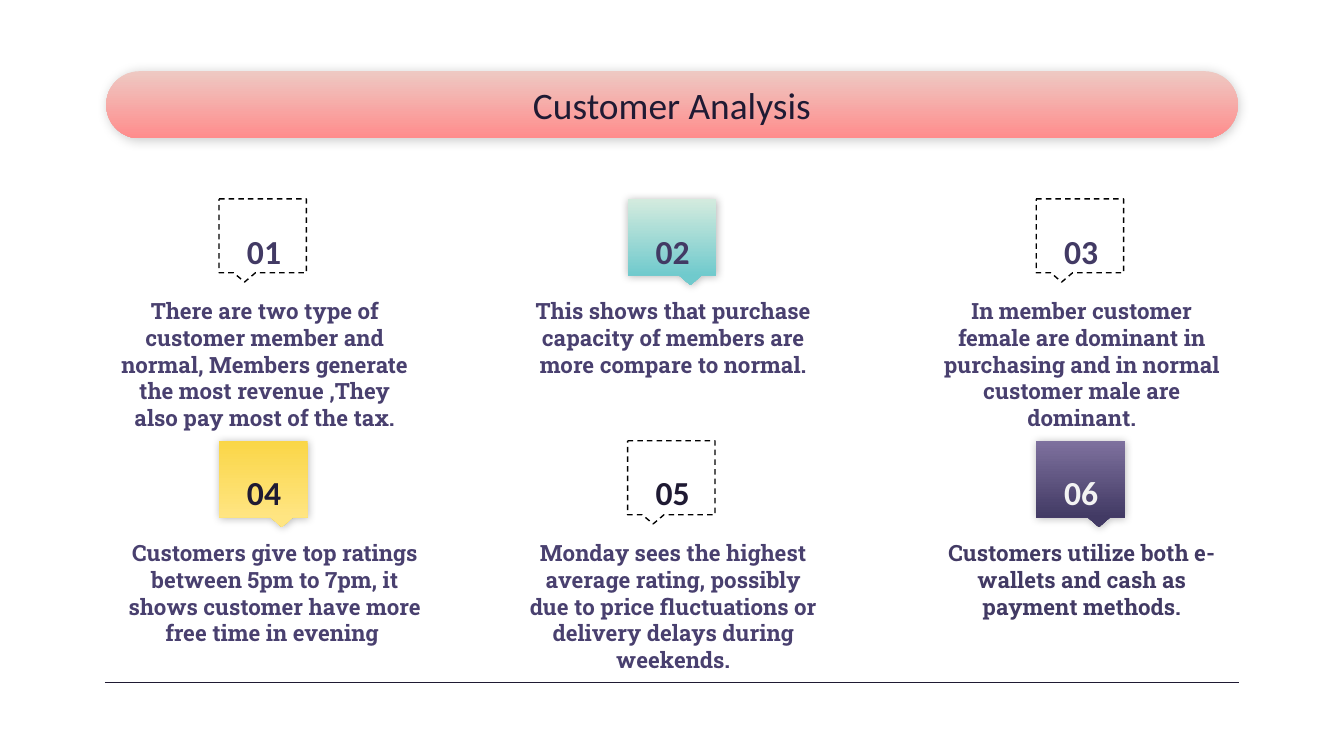
from lxml import etree
from pptx import Presentation
from pptx.dml.color import RGBColor
from pptx.enum.dml import MSO_LINE
from pptx.enum.shapes import MSO_CONNECTOR, MSO_SHAPE
from pptx.enum.text import MSO_ANCHOR, MSO_AUTO_SIZE, PP_ALIGN
from pptx.oxml.ns import qn
from pptx.util import Inches, Pt

CALLOUT = MSO_SHAPE.ROUNDED_RECTANGULAR_CALLOUT
ROUNDED = MSO_SHAPE.ROUNDED_RECTANGLE
STRAIGHT = MSO_CONNECTOR.STRAIGHT
DASH = MSO_LINE.DASH
CENTER = PP_ALIGN.CENTER
TOP, MIDDLE = MSO_ANCHOR.TOP, MSO_ANCHOR.MIDDLE
NO_AUTOFIT = MSO_AUTO_SIZE.NONE

# Widescreen slide, 16:9
SLIDE_WIDTH = 10
SLIDE_HEIGHT = SLIDE_WIDTH * 9 / 16
INK, PURPLE, VIOLET, PALE = "1F1A33", "423A64", "49406F", "F3F3F3"
HEADING_FONT, BODY_FONT = "Calibri", "Roboto Slab"

# Grid of findings, in inches
COLUMNS = 3
MARGIN = 0.79
COLUMN_STEP, ROW_STEP = 3.04, 1.8
FIRST_ROW = 1.48
CAPTION_WIDTH = 2.36
BADGE_OFFSET = 0.84

# Text, badge gradient (None means a dashed outline), number colour, text colour
FINDINGS = [
    ("There are two type of customer member and normal, Members generate "
     "the most revenue ,They also pay most of the tax.", None, PURPLE, VIOLET),
    ("This shows that purchase capacity of members are more compare to normal.",
     ("D4EBDE", "70CACD"), PURPLE, VIOLET),
    ("In member customer female are dominant in purchasing and in normal "
     "customer male are dominant.", None, PURPLE, VIOLET),
    ("Customers give top ratings between 5pm to 7pm, it shows customer have "
     "more free time in evening ", ("FAD647", "FFE582"), INK, VIOLET),
    ("Monday sees the highest average rating, possibly due to price "
     "fluctuations or delivery delays during weekends.", None, INK, VIOLET),
    ("Customers utilize both e-wallets and cash as payment methods.",
     ("7E719E", "423A64"), PALE, PURPLE),
]


def color(hex_code):
    return RGBColor.from_string(hex_code)


def box(left, top, width, height):
    return [Inches(length) for length in (left, top, width, height)]


def fill_gradient(shape, colors):
    """Fill from top to bottom with two colours and no outline."""
    shape.fill.gradient()
    shape.fill.gradient_angle = 270
    for stop, position, hex_code in zip(shape.fill.gradient_stops, (0, 1), colors):
        stop.position = position
        stop.color.rgb = color(hex_code)
    shape.line.fill.background()


def add_shadow(shape, opacity, blur, distance, angle):
    effects = shape.element.spPr.find(qn("a:effectLst"))
    shadow = etree.SubElement(
        effects, qn("a:outerShdw"), blurRad=str(Pt(blur)), dist=str(Pt(distance)),
        dir=str(angle * 60000), algn="bl", rotWithShape="0")
    black = etree.SubElement(shadow, qn("a:srgbClr"), val="000000")
    etree.SubElement(black, qn("a:alpha"), val=str(opacity * 1000))


def format_text(shape, text, font, size, hex_code, bold=True, anchor=TOP,
                bottom=0.1):
    frame = shape.text_frame
    frame.text = text
    frame.word_wrap = True
    frame.auto_size = NO_AUTOFIT
    frame.vertical_anchor = anchor
    frame.margin_left = frame.margin_right = frame.margin_top = Inches(0.1)
    frame.margin_bottom = Inches(bottom)
    paragraph = frame.paragraphs[0]
    paragraph.alignment = CENTER
    paragraph.line_spacing = 1.0
    run_font = paragraph.runs[0].font
    run_font.name, run_font.size, run_font.bold = font, Pt(size), bold
    run_font.color.rgb = color(hex_code)


def add_title(slide, text):
    title = slide.shapes.title
    title.left, title.top, title.width, title.height = box(2.47, 0.53, 5.06, 0.5)
    format_text(title, text, HEADING_FONT, 20, INK, bold=False, anchor=MIDDLE)
    # Banner behind the title
    banner = slide.shapes.add_shape(
        ROUNDED, *box(MARGIN, 0.53, SLIDE_WIDTH - 2 * MARGIN, 0.5))
    banner.adjustments[0] = 0.5
    banner.shadow.inherit = False
    fill_gradient(banner, ("EEC9C3", "FF8C8C"))
    add_shadow(banner, 20, 5.6, 0.8, 66)
    title.element.addprevious(banner.element)


def add_footer_line(slide):
    line = slide.shapes.add_connector(
        STRAIGHT, Inches(0.78), Inches(5.08), Inches(9.22), Inches(5.08))
    line.line.color.rgb = color(INK)
    line.line.width = Pt(0.75)
    etree.SubElement(line.element.spPr, qn("a:effectLst"))


def add_badge(slide, left, top, gradient):
    width, height = (0.66, 0.57) if gradient else (0.65, 0.55)
    badge = slide.shapes.add_shape(CALLOUT, *box(left, top, width, height))
    for index, value in enumerate((-0.208, 0.625, 0)):
        badge.adjustments[index] = value
    badge.shadow.inherit = False
    if gradient:
        fill_gradient(badge, gradient)
        badge.element.spPr.find(qn("a:xfrm")).set("flipH", "1")
        add_shadow(badge, 27, 4.5, 0.8, 63)
    else:
        badge.fill.background()
        badge.line.color.rgb = color("000000")
        badge.line.width = Pt(0.75)
        badge.line.dash_style = DASH


def add_finding(slide, index, text, gradient, number_color, text_color):
    row, column = divmod(index, COLUMNS)
    left = MARGIN + column * COLUMN_STEP
    top = FIRST_ROW + row * ROW_STEP
    badge_left = left + BADGE_OFFSET
    add_badge(slide, badge_left, top, gradient)

    number = slide.shapes.add_textbox(*box(badge_left, top + 0.17, 0.67, 0.33))
    format_text(number, f"{index + 1:02d}", HEADING_FONT, 18, number_color,
                anchor=MIDDLE, bottom=0)

    # The fourth text needs a slightly wider box
    width = CAPTION_WIDTH + (0.15 if index == 3 else 0)
    height = 1.11 if row else 0.83
    caption = slide.shapes.add_textbox(*box(left, top + 0.63, width, height))
    format_text(caption, text, BODY_FONT, 12, text_color)


def main():
    presentation = Presentation()
    presentation.slide_width = Inches(SLIDE_WIDTH)
    presentation.slide_height = Inches(SLIDE_HEIGHT)
    slide = presentation.slides.add_slide(presentation.slide_layouts[5])

    add_title(slide, "Customer Analysis")
    add_footer_line(slide)
    for index, finding in enumerate(FINDINGS):
        add_finding(slide, index, *finding)

    presentation.save("out.pptx")


if __name__ == "__main__":
    main()
